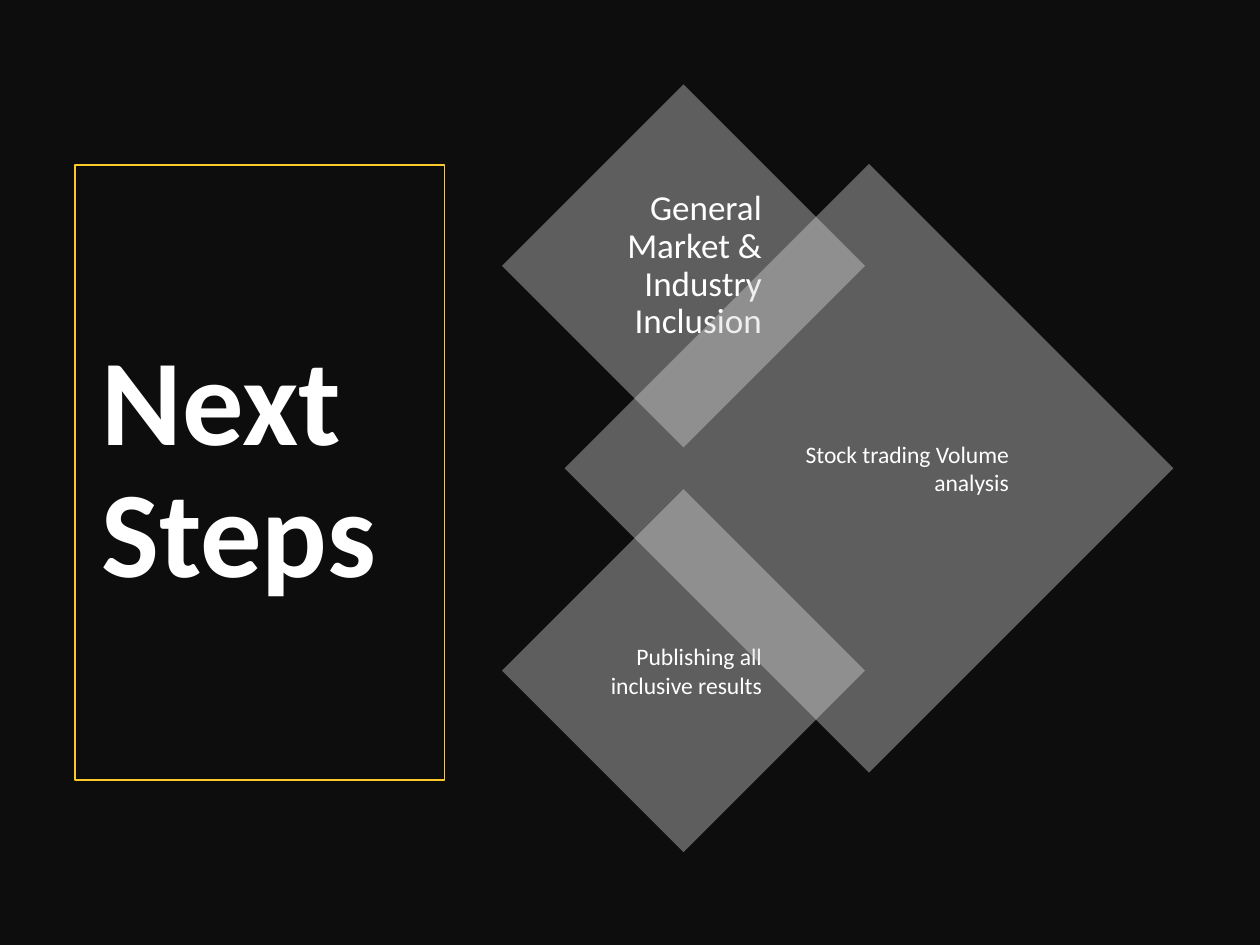
from lxml import etree
from pptx import Presentation
from pptx.dml.color import RGBColor
from pptx.enum.shapes import MSO_SHAPE
from pptx.enum.text import MSO_ANCHOR, PP_ALIGN
from pptx.oxml.ns import qn
from pptx.util import Cm, Pt

RECT, DIAMOND = MSO_SHAPE.RECTANGLE, MSO_SHAPE.DIAMOND
LEFT, RIGHT = PP_ALIGN.LEFT, PP_ALIGN.RIGHT
MIDDLE = MSO_ANCHOR.MIDDLE

WIDTH, HEIGHT = 25.4, 19.05
BLACK, WHITE, GOLD, GREY = "0D0D0D", "FFFFFF", "FDC82A", "D9D9D9"
TITLE = "Next Steps"

# Diamonds from back to front: text, centre x, centre y, side (cm), text format
MID_Y, STEP_Y = 9.44, 4.08
STEPS = [
    ("Publishing all inclusive results", 13.78, MID_Y + STEP_Y, 7.32,
     dict(size=13.5)),
    ("General Market & Industry Inclusion", 13.78, MID_Y - STEP_Y, 7.32,
     dict(size=20, spacing=0.9)),
    ("Stock trading Volume analysis", 17.52, MID_Y, 12.27,
     dict(size=13.5)),
]


def rgb(color):
    return RGBColor.from_string(color)


def write(shape, text, size, align=LEFT, bold=False, spacing=1.0):
    tf = shape.text_frame
    tf.word_wrap = True
    tf.vertical_anchor = MIDDLE
    p = tf.paragraphs[0]
    p.alignment = align
    p.line_spacing = spacing
    r = p.add_run()
    r.text = text
    r.font.name = "Calibri"
    r.font.size = Pt(size)
    r.font.bold = bold
    r.font.color.rgb = rgb(WHITE)


def add_shape(s, kind, x, y, w, h, fill=None, opacity=100, line=None):
    sp = s.shapes.add_shape(kind, Cm(x), Cm(y), Cm(w), Cm(h))
    sp.shadow.inherit = False
    if fill:
        sp.fill.solid()
        sp.fill.fore_color.rgb = rgb(fill)
        if opacity < 100:
            color = sp.fill._xPr.find(".//" + qn("a:srgbClr"))
            etree.SubElement(color, qn("a:alpha"), val=str(opacity * 1000))
    else:
        sp.fill.background()
    if line:
        sp.line.color.rgb = rgb(line)
        sp.line.width = Pt(1)
    else:
        sp.line.fill.background()
    return sp


def main():
    prs = Presentation()
    prs.slide_width, prs.slide_height = Cm(WIDTH), Cm(HEIGHT)
    s = prs.slides.add_slide(prs.slide_layouts[6])

    add_shape(s, RECT, 0, 0, WIDTH, HEIGHT, fill=BLACK)
    title = s.shapes.add_textbox(Cm(1.8), Cm(3.73), Cm(6.86), Cm(11.56))
    write(title, TITLE, size=70, bold=True, spacing=0.9)
    add_shape(s, RECT, 1.52, 3.33, 7.44, 12.4, line=GOLD)

    for text, x, y, side, style in STEPS:
        sp = add_shape(s, DIAMOND, x - side / 2, y - side / 2, side, side,
                       fill=GREY, opacity=40)
        write(sp, text, align=RIGHT, **style)

    prs.save("out.pptx")


if __name__ == "__main__":
    main()
